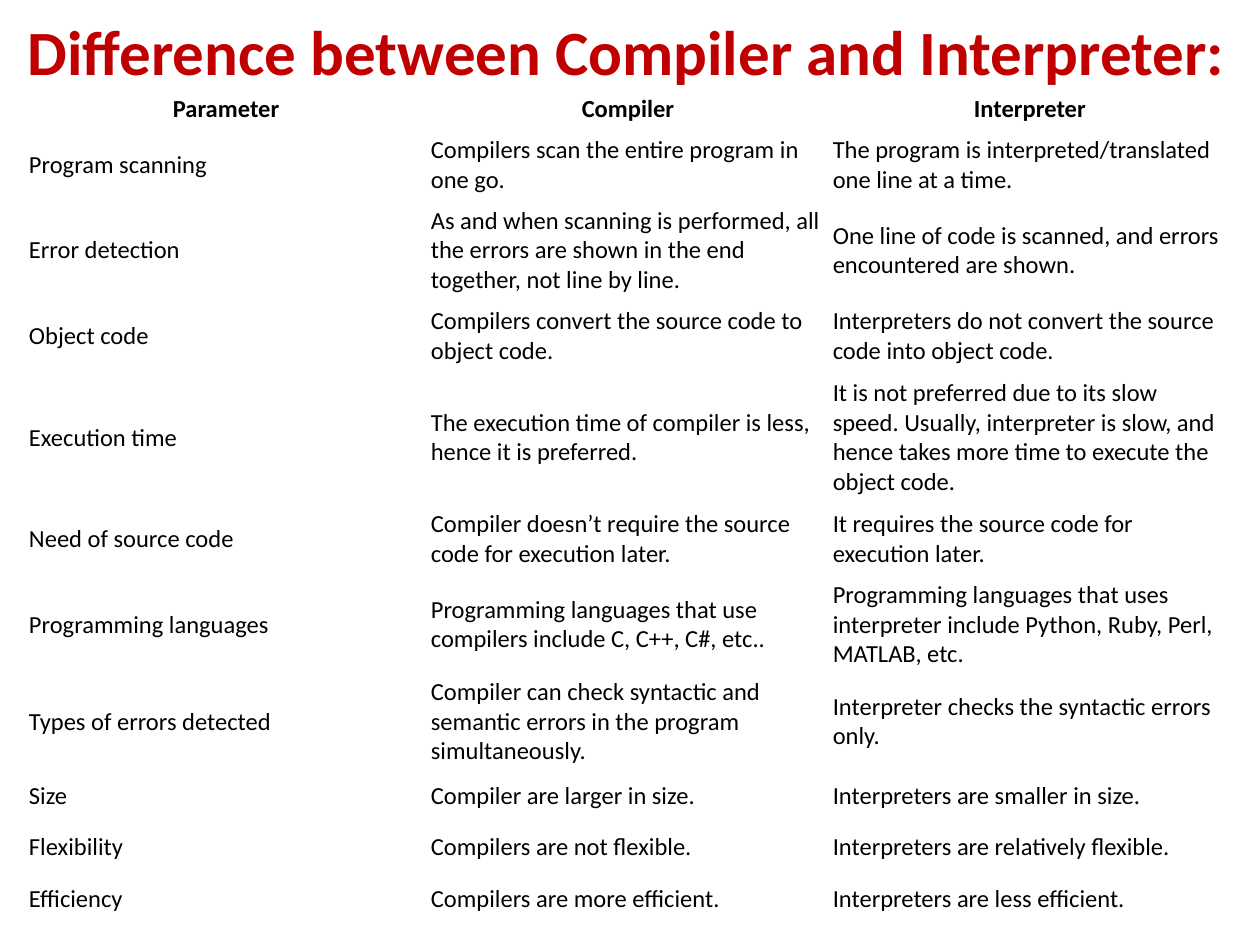
"""Build a slide comparing compilers with interpreters in a table."""
from pptx import Presentation
from pptx.dml.color import RGBColor
from pptx.enum.text import MSO_ANCHOR, MSO_AUTO_SIZE, PP_ALIGN
from pptx.util import Inches, Pt

MIDDLE = MSO_ANCHOR.MIDDLE
GROW = MSO_AUTO_SIZE.SHAPE_TO_FIT_TEXT
LEFT, CENTER = PP_ALIGN.LEFT, PP_ALIGN.CENTER
RED = RGBColor(0xC0, 0x00, 0x00)
BLACK = RGBColor(0x00, 0x00, 0x00)
FONT = "Calibri"

TITLE = "Difference between Compiler and Interpreter:"
HEADER = ("Parameter", "Compiler", "Interpreter")
ROWS = [
    (2, "Program scanning", "Compilers scan the entire program in one go.",
     "The program is interpreted/translated one line at a time."),
    (3, "Error detection",
     "As and when scanning is performed, all the errors are shown in the end together, not line by line.",
     "One line of code is scanned, and errors encountered are shown."),
    (2, "Object code", "Compilers convert the source code to object code.",
     "Interpreters do not convert the source code into object code."),
    (4, "Execution time", "The execution time of compiler is less, hence it is preferred.",
     "It is not preferred due to its slow speed. Usually, interpreter is slow, "
     "and hence takes more time to execute the object code."),
    (2, "Need of source code", "Compiler doesn’t require the source code for execution later.",
     "It requires the source code for execution later."),
    (3, "Programming languages", "Programming languages that use compilers include C, C++, C#, etc..",
     "Programming languages that uses interpreter include Python, Ruby, Perl, MATLAB, etc."),
    (3, "Types of errors detected",
     "Compiler can check syntactic and semantic errors in the program simultaneously.",
     "Interpreter checks the syntactic errors only."),
    (1, "Size", "Compiler are larger in size.", "Interpreters are smaller in size."),
    (1, "Flexibility", "Compilers are not flexible.", "Interpreters are relatively flexible."),
    (1, "Efficiency", "Compilers are more efficient.", "Interpreters are less efficient."),
]
HEADER_HEIGHT = 0.24
HEIGHT_BY_LINES = {1: 0.41, 2: 0.59, 3: 0.77, 4: 1.02}
COL_WIDTH = 3.19
PAD = Inches(0.03)


def format_paragraph(p, size, color, bold, align):
    p.alignment = align
    for r in p.runs:
        r.font.name, r.font.size, r.font.bold = FONT, Pt(size), bold
        r.font.color.rgb = color


def add_title(slide):
    sp = slide.shapes.title
    sp.left, sp.top, sp.width, sp.height = map(Inches, (0.12, 0.05, 9.82, 0.71))
    tf = sp.text_frame
    tf.text = TITLE
    tf.word_wrap = False
    tf.auto_size = GROW
    tf.vertical_anchor = MSO_ANCHOR.TOP
    format_paragraph(tf.paragraphs[0], 36, RED, True, LEFT)


def add_comparison(slide):
    texts = [HEADER] + [row[1:] for row in ROWS]
    heights = [HEADER_HEIGHT] + [HEIGHT_BY_LINES[row[0]] for row in ROWS]
    frame = slide.shapes.add_table(
        len(texts), len(HEADER), Inches(0.2), Inches(0.72),
        Inches(COL_WIDTH * len(HEADER)), Inches(sum(heights)))
    table = frame.table
    table.first_row = table.horz_banding = False
    for col in table.columns:
        col.width = Inches(COL_WIDTH)
    for i, (row, height) in enumerate(zip(table.rows, heights)):
        row.height = Inches(height)
        for cell, text in zip(row.cells, texts[i]):
            cell.fill.background()
            cell.vertical_anchor = MIDDLE
            cell.margin_left = cell.margin_right = PAD
            cell.margin_top = cell.margin_bottom = PAD
            cell.text_frame.text = text
            format_paragraph(cell.text_frame.paragraphs[0], 14, BLACK,
                             i == 0, CENTER if i == 0 else LEFT)


def main():
    prs = Presentation()
    prs.slide_width, prs.slide_height = Inches(10), Inches(7.5)
    slide = prs.slides.add_slide(prs.slide_layouts[5])
    add_title(slide)
    add_comparison(slide)
    prs.save("out.pptx")


if __name__ == "__main__":
    main()
